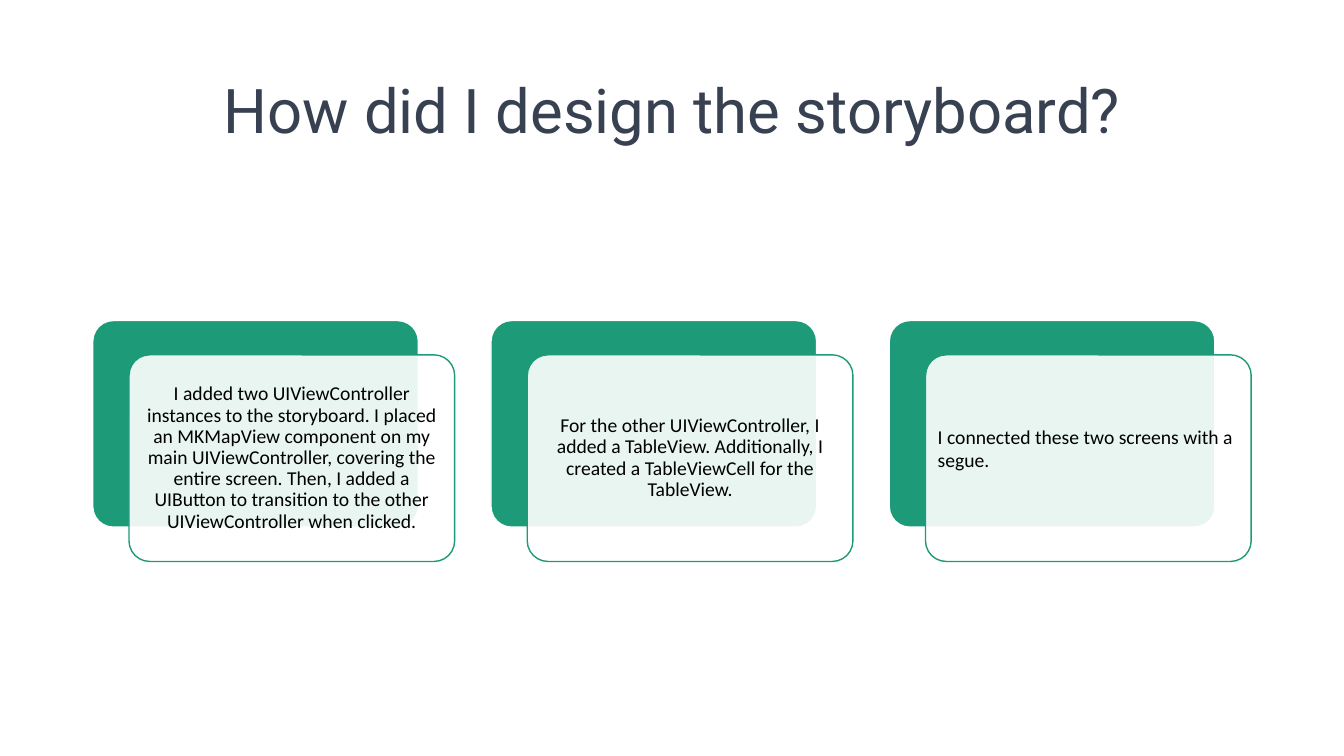
from lxml.etree import SubElement
from pptx import Presentation
from pptx.dml.color import RGBColor
from pptx.enum.shapes import MSO_SHAPE
from pptx.enum.text import MSO_ANCHOR, PP_ALIGN
from pptx.oxml.ns import qn
from pptx.util import Inches, Pt

GREEN, WHITE = "1D9A78", "FFFFFF"
CARD_WIDTH, CARD_HEIGHT = 3.23, 2.05
CARD_LEFT, CARD_TOP, CARD_STEP = 0.92, 3.18, 3.95
SHIFT_X, SHIFT_Y, PADDING = 0.36, 0.34, 0.06

STEPS = [
    ("I added two UIViewController instances to the storyboard. I placed an "
     "MKMapView component on my main UIViewController, covering the entire "
     "screen. Then, I added a UIButton to transition to the other "
     "UIViewController when clicked.", {}),
    ("For the other UIViewController, I added a TableView. Additionally, I "
     "created a TableViewCell for the TableView.", {}),
    ("I connected these two screens with a segue.",
     {"align": PP_ALIGN.LEFT, "spacing": 1.0, "bottom": 0.26}),
]


def color(hex_code):
    return RGBColor.from_string(hex_code)


def write(frame, text, size=14, font="Calibri", ink="000000",
          align=PP_ALIGN.CENTER, spacing=0.9, inset=PADDING, bottom=PADDING):
    frame.word_wrap = True
    frame.vertical_anchor = MSO_ANCHOR.MIDDLE
    frame.margin_left = frame.margin_right = frame.margin_top = Inches(inset)
    frame.margin_bottom = Inches(bottom)
    paragraph = frame.paragraphs[0]
    paragraph.alignment = align
    paragraph.line_spacing = spacing
    run = paragraph.add_run()
    run.text = text
    run.font.size = Pt(size)
    run.font.name = font
    run.font.color.rgb = color(ink)


class StoryboardSlide:
    """Draws the title and step cards on one slide in a shared style."""

    def __init__(self, slide):
        self.shapes = slide.shapes

    def text(self, left, top, width, height, words, **style):
        box = self.shapes.add_textbox(
            Inches(left), Inches(top), Inches(width), Inches(height))
        write(box.text_frame, words, **style)

    def panel(self, left, top, fill, line, opacity=100):
        panel = self.shapes.add_shape(
            MSO_SHAPE.ROUNDED_RECTANGLE, Inches(left), Inches(top),
            Inches(CARD_WIDTH), Inches(CARD_HEIGHT))
        panel.adjustments[0] = 0.1
        panel.shadow.inherit = False
        panel.fill.solid()
        panel.fill.fore_color.rgb = color(fill)
        panel.line.color.rgb = color(line)
        panel.line.width = Pt(1)
        if opacity < 100:
            tint = panel.fill._xPr.find(qn("a:solidFill"))[0]
            SubElement(tint, qn("a:alpha"), val=str(opacity * 1000))

    def card(self, left, top, words, **style):
        front_left, front_top = left + SHIFT_X, top + SHIFT_Y
        self.panel(left, top, GREEN, WHITE)
        self.panel(front_left, front_top, WHITE, GREEN, opacity=90)
        self.text(front_left + PADDING, front_top + PADDING,
                  CARD_WIDTH - 2 * PADDING, CARD_HEIGHT - 2 * PADDING,
                  words, **style)


def main():
    deck = Presentation()
    deck.slide_width, deck.slide_height = Inches(13.33), Inches(7.5)
    storyboard = StoryboardSlide(deck.slides.add_slide(deck.slide_layouts[6]))
    storyboard.text(0.92, 0.4, 11.5, 1.45, "How did I design the storyboard?",
                    size=44, font="Roboto", ink="374151")
    for index, (words, style) in enumerate(STEPS):
        storyboard.card(CARD_LEFT + index * CARD_STEP, CARD_TOP, words, **style)
    deck.save("out.pptx")


if __name__ == "__main__":
    main()
